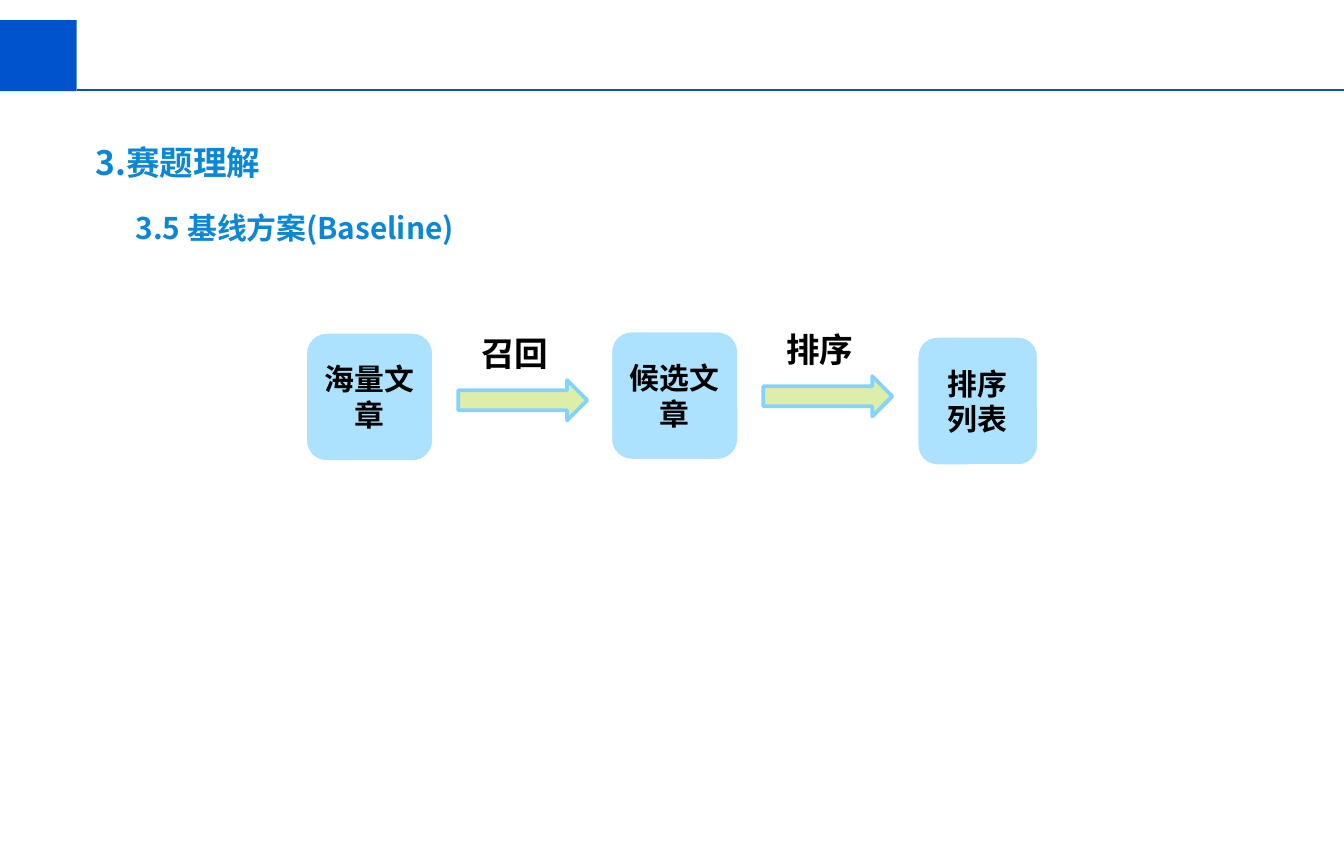
from pptx import Presentation
from pptx.dml.color import RGBColor
from pptx.enum.shapes import MSO_CONNECTOR, MSO_SHAPE as Preset
from pptx.enum.text import MSO_ANCHOR as Anchor, MSO_AUTO_SIZE as AutoSize, PP_ALIGN as Align
from pptx.oxml.ns import qn
from pptx.util import Inches, Pt
from lxml.etree import SubElement

FONT = "Noto Sans CJK SC"
BRAND, HEADING, BLACK = "0053CC", "0B87D6", "000000"

deck = Presentation()
deck.slide_width, deck.slide_height = Inches(10), Inches(6.26)
slide = deck.slides.add_slide(deck.slide_layouts[1])
shapes = slide.shapes

# Square grid: 100 columns across the slide
UNIT = deck.slide_width / 100


def grid(*cells):
    return [round(cell * UNIT) for cell in cells]


def style(shape, text="", size=16, color=BLACK, fill=None, line=None, line_width=2,
          align=Align.LEFT, **frame_format):
    """Paint a shape when it has a fill, and write its text when it has any."""
    if fill:
        shape.shadow.inherit = False
        shape.fill.solid()
        shape.fill.fore_color.rgb = RGBColor.from_string(fill)
        shape.line.color.rgb = RGBColor.from_string(line or fill)
        shape.line.width = Pt(line_width)
    if text:
        frame = shape.text_frame
        for name, value in {"word_wrap": True, **frame_format}.items():
            setattr(frame, name, value)
        paragraph = frame.paragraphs[0]
        paragraph.alignment, paragraph.space_before = align, Pt(0)
        run = paragraph.add_run()
        run.text = text
        for name, value in {"size": Pt(size), "bold": True, "name": FONT}.items():
            setattr(run.font, name, value)
        run.font.color.rgb = RGBColor.from_string(color)
        SubElement(run.font._element, qn("a:ea"), typeface=FONT)


# Header band
band = shapes.add_shape(Preset.RECTANGLE, *grid(0, 1.5, 5.7, 5.3))
style(band, fill=BRAND)
band.line.fill.background()
rule = shapes.add_connector(MSO_CONNECTOR.STRAIGHT, *grid(5.7, 6.7, 100, 6.7))
rule.line.color.rgb = RGBColor.from_string(BRAND)
rule.line.width = Pt(1)
SubElement(rule._element.spPr, qn("a:effectLst"))

# Headings
section, topic = shapes.title, slide.placeholders[1]
for heading, text, size, place in [
    (section, "3.赛题理解", 18, (6.1, 10.1, 36, 4)),
    (topic, "3.5 基线方案(Baseline)", 16, (9.1, 15.1, 36, 3.7)),
]:
    heading.left, heading.top, heading.width, heading.height = grid(*place)
    style(heading, text, size, HEADING, vertical_anchor=Anchor.TOP, auto_size=AutoSize.NONE)
topic_format = topic.text_frame.paragraphs[0]._p.get_or_add_pPr()
topic_format.set("marL", "0")
topic_format.set("indent", "0")
SubElement(topic_format, qn("a:buNone"))

# Article sets, from the whole pool to the ranked list
INSET = grid(0.8)[0]
for text, left, top, width in [
    ("海量文章", 22.7, 24.7, 9.6),
    ("候选文章", 45.4, 24.6, 9.6),
    ("排序列表", 68.2, 25, 9.1),
]:
    stage = shapes.add_shape(Preset.ROUNDED_RECTANGLE, *grid(left, top, width, 9.7))
    style(stage, text, fill="ADE2FE", line="FFFFFF", align=Align.CENTER,
          vertical_anchor=Anchor.MIDDLE, margin_left=INSET, margin_right=INSET)

# Steps between the sets: arrow with its label above
for text, left, top in [("召回", 34.1, 28.3), ("排序", 56.8, 28)]:
    arrow = shapes.add_shape(Preset.RIGHT_ARROW, *grid(left, top, 9.6, 3))
    style(arrow, fill="DCEEA7", line="83D3FE")
    label = shapes.add_textbox(*grid(left + 0.9, top - 4, 7.2, 4))
    style(label, text, 18, margin_left=INSET, margin_right=INSET)

deck.save("out.pptx")
